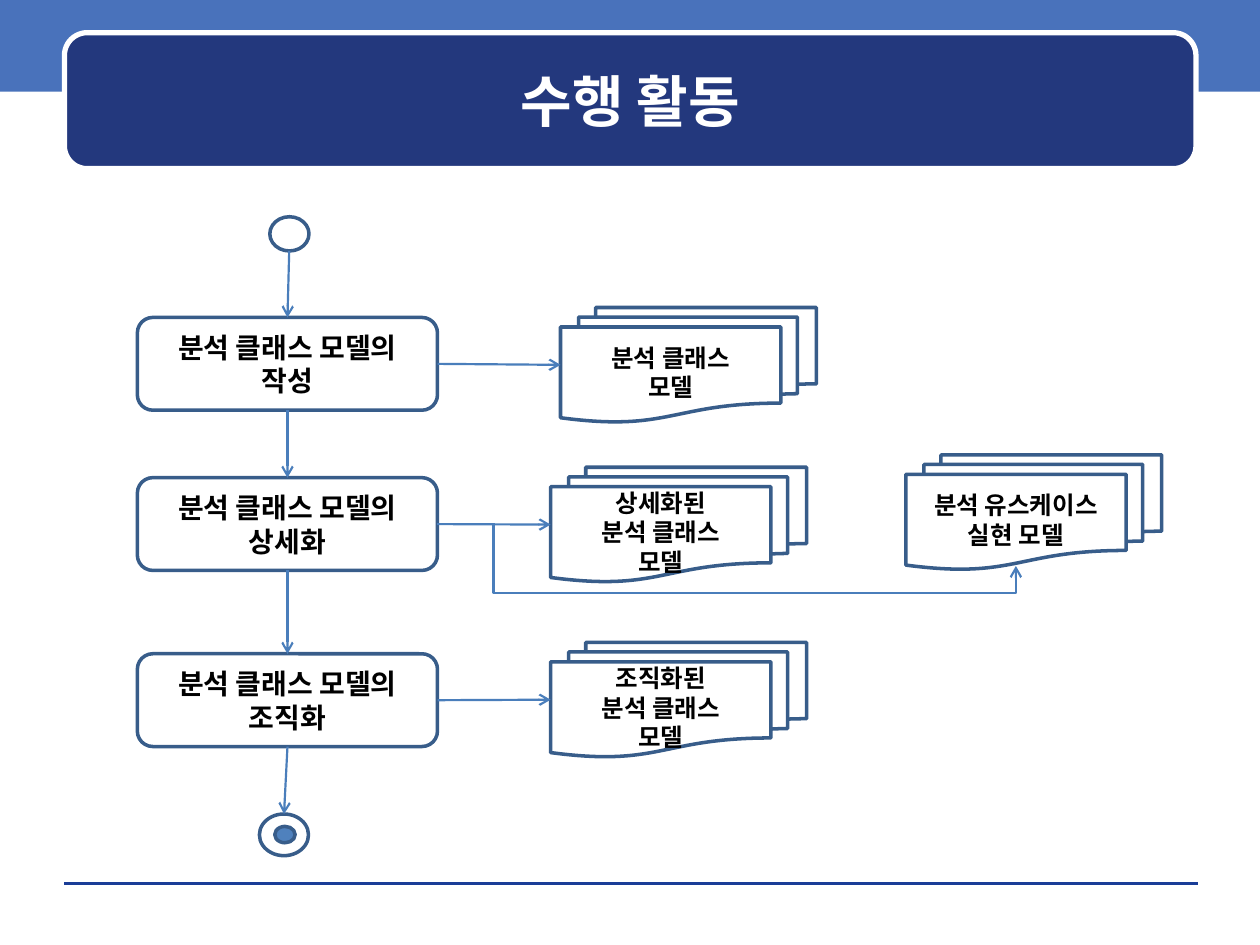
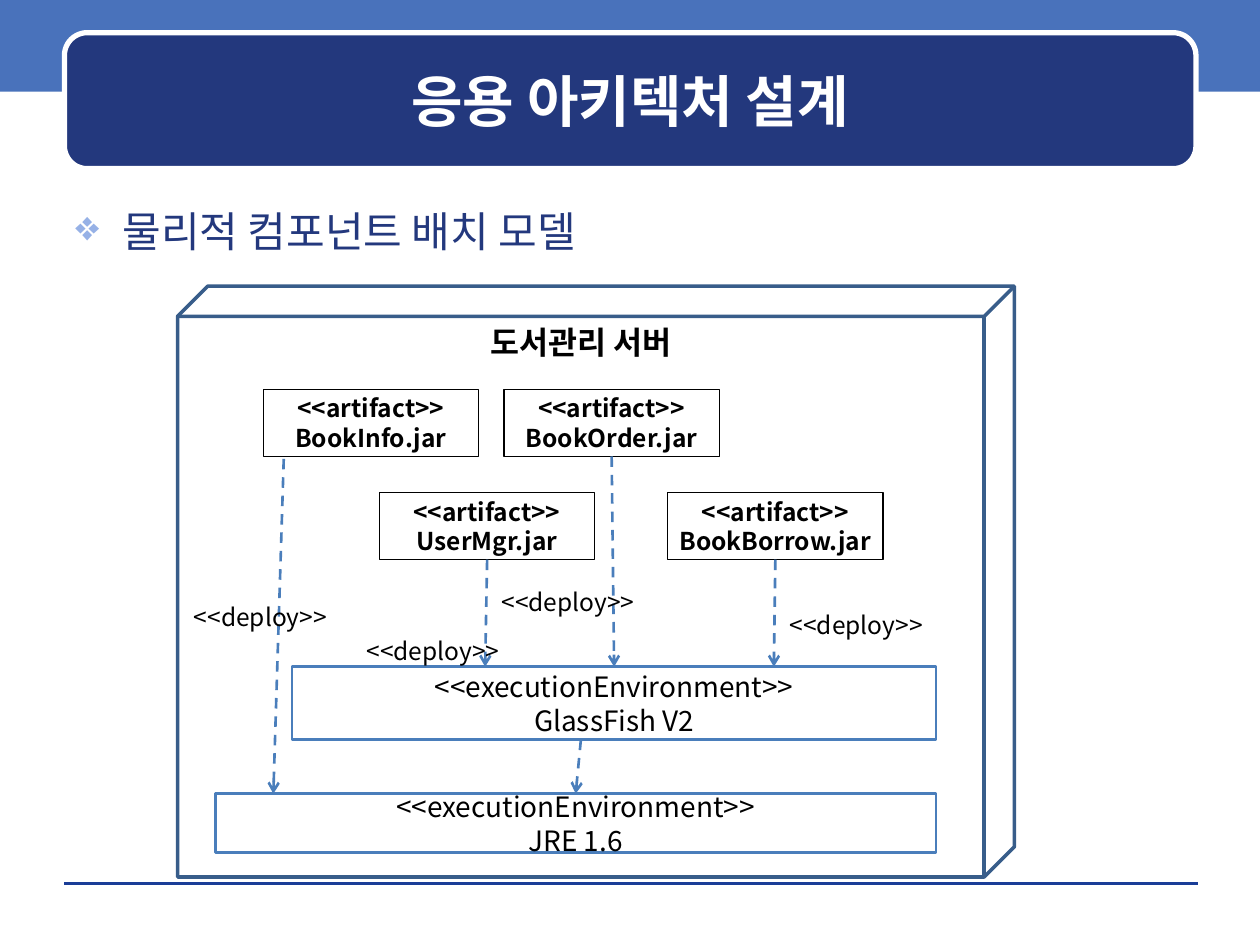
from dataclasses import dataclass
from typing import NamedTuple, Union

from lxml.etree import SubElement
from pptx import Presentation
from pptx.dml.color import RGBColor
from pptx.enum.dml import MSO_LINE_DASH_STYLE as DASH
from pptx.enum.shapes import MSO_CONNECTOR_TYPE as LINK, MSO_SHAPE as SHAPE
from pptx.enum.text import MSO_ANCHOR as ANCHOR, PP_ALIGN as ALIGN
from pptx.oxml.ns import qn
from pptx.util import Cm, Pt

FONT = "Noto Sans CJK KR"
COLORS = {
    "band": "4972BB", "navy": "23387D", "rule": "1A3D97", "white": "FFFFFF",
    "black": "000000", "outline": "385D8A", "link": "4A7EBB",
    "dot": "4F81BD", "bullet": "96B1E6",
}
TOP, LEFT, BOTTOM, RIGHT = range(4)


class Box(NamedTuple):
    x: float
    y: float
    w: float
    h: float


class Point(NamedTuple):
    x: float
    y: float


class Joint(NamedTuple):
    shape: object
    side: int


End = Union[Point, Joint]


@dataclass
class TextStyle:
    size: float
    bold: bool = False
    color: str = "black"
    align: object = ALIGN.CENTER
    anchor: object = ANCHOR.MIDDLE
    side_inset: float = 0.25
    wrap: bool = True


@dataclass
class ShapeStyle:
    kind: object
    line: str = ""
    width: float = 0
    fill: str = ""
    adjust: float = 0
    text: TextStyle = None


TITLE = TextStyle(32, True, "white")
BULLET = TextStyle(24, color="navy", align=ALIGN.LEFT, anchor=ANCHOR.TOP)
LABEL = TextStyle(14, align=ALIGN.LEFT, anchor=ANCHOR.TOP, wrap=False)

BAND = ShapeStyle(SHAPE.RECTANGLE, fill="band")
PANEL = ShapeStyle(SHAPE.ROUNDED_RECTANGLE, "white", 3, "navy", 0.167)
ACTIVITY = ShapeStyle(SHAPE.FLOWCHART_ALTERNATE_PROCESS, "outline", 2,
                      text=TextStyle(16, True, side_inset=0))
DOCUMENTS = ShapeStyle(SHAPE.FLOWCHART_MULTIDOCUMENT, "outline", 2,
                       text=TextStyle(14, True, side_inset=0))
RING = ShapeStyle(SHAPE.FLOWCHART_CONNECTOR, "outline", 2)
DOT = ShapeStyle(SHAPE.FLOWCHART_CONNECTOR, "outline", 2, "dot")
ARTIFACT = ShapeStyle(SHAPE.RECTANGLE, "black", 0.75,
                      text=TextStyle(14, True, side_inset=0))
ENVIRONMENT = ShapeStyle(SHAPE.RECTANGLE, "link", 1.5, text=TextStyle(16))
SERVER = ShapeStyle(SHAPE.CUBE, "outline", 2, adjust=0.051,
                    text=TextStyle(18, True, anchor=ANCHOR.TOP))


def rgb(name: str) -> RGBColor:
    return RGBColor.from_string(COLORS[name])


def cm(values) -> list:
    return [Cm(v) for v in values]


def write(sp, lines: list, style: TextStyle) -> None:
    tf = sp.text_frame
    frame_format = {
        "word_wrap": style.wrap, "vertical_anchor": style.anchor,
        "margin_left": Cm(style.side_inset), "margin_right": Cm(style.side_inset),
        "margin_top": Cm(0.13), "margin_bottom": Cm(0.13),
    }
    for name, value in frame_format.items():
        setattr(tf, name, value)
    for i, line in enumerate(lines):
        p = tf.add_paragraph() if i else tf.paragraphs[0]
        p.alignment = style.align
        r = p.add_run()
        r.text = line
        font_format = {"size": Pt(style.size), "bold": style.bold, "name": FONT}
        for name, value in font_format.items():
            setattr(r.font, name, value)
        r.font.color.rgb = rgb(style.color)
        SubElement(r.font._element, qn("a:ea"), typeface=FONT)


def add_text(slide, box: Box, line: str, style: TextStyle):
    sp = slide.shapes.add_textbox(*cm(box))
    write(sp, [line], style)
    return sp


def add_box(slide, style: ShapeStyle, box: Box, *lines: str):
    sp = slide.shapes.add_shape(style.kind, *cm(box))
    sp.shadow.inherit = False
    if style.adjust:
        sp.adjustments[0] = style.adjust
    if style.fill:
        sp.fill.solid()
        sp.fill.fore_color.rgb = rgb(style.fill)
    else:
        sp.fill.background()
    if style.line:
        sp.line.color.rgb = rgb(style.line)
        sp.line.width = Pt(style.width)
    else:
        sp.line.fill.background()
    if lines:
        write(sp, lines, style.text)
    return sp


def add_line(slide, begin: End, end: End, color: str = "link", width: float = 1.25,
             arrow: bool = True, dashed: bool = False, kind=LINK.STRAIGHT):
    """Draw a connector; an end given as a Joint is attached to its shape."""
    points = [e if isinstance(e, Point) else Point(0, 0) for e in (begin, end)]
    c = slide.shapes.add_connector(kind, *cm(points[0] + points[1]))
    for e, connect in ((begin, c.begin_connect), (end, c.end_connect)):
        if isinstance(e, Joint):
            connect(e.shape, e.side)
    c.line.color.rgb = rgb(color)
    c.line.width = Pt(width)
    if dashed:
        c.line.dash_style = DASH.DASH
    sp_pr = c._element.spPr
    if arrow:
        SubElement(sp_pr.find(qn("a:ln")), qn("a:tailEnd"), type="arrow")
    SubElement(sp_pr, qn("a:effectLst"))
    return c


def bend_around(c, *adjustments: int) -> None:
    """Turn an elbow connector into one with three bends."""
    geom = c._element.spPr.find(qn("a:prstGeom"))
    geom.set("prst", "bentConnector4")
    guides = geom.find(qn("a:avLst"))
    if guides is None:
        guides = SubElement(geom, qn("a:avLst"))
    for i, value in enumerate(adjustments, 1):
        SubElement(guides, qn("a:gd"), name=f"adj{i}", fmla=f"val {value}")


def add_bullet(slide, box: Box, line: str) -> None:
    p = add_text(slide, box, line, BULLET).text_frame.paragraphs[0]
    p_pr = p._p.get_or_add_pPr()
    p_pr.set("marL", str(Cm(0.95)))
    p_pr.set("indent", str(-Cm(0.95)))
    SubElement(SubElement(p_pr, qn("a:buClr")), qn("a:srgbClr"), val=COLORS["bullet"])
    SubElement(p_pr, qn("a:buChar"), char="❖")


def new_slide(prs, title: str):
    slide = prs.slides.add_slide(prs.slide_layouts[6])
    add_box(slide, BAND, Box(0, 0, 25.4, 1.85))
    add_line(slide, Point(1.3, 17.81), Point(24.16, 17.81), "rule", 0, arrow=False)
    add_box(slide, PANEL, Box(1.3, 0.66, 22.81, 2.74))
    add_text(slide, Box(1.52, 0.89, 22.38, 2.24), title, TITLE)
    return slide


def build_activities(prs) -> None:
    slide = new_slide(prs, "수행 활동")
    add_box(slide, RING, Box(5.44, 4.37, 0.79, 0.69))
    steps = [add_box(slide, ACTIVITY, Box(2.77, y, 6.05, 1.87), "분석 클래스 모델의", verb)
             for y, verb in ((6.4, "작성"), (9.63, "상세화"), (13.18, "조직화"))]
    add_box(slide, DOT, Box(5.54, 16.66, 0.41, 0.33))
    finish = add_box(slide, RING, Box(5.23, 16.41, 0.99, 0.84))

    outputs = [add_box(slide, DOCUMENTS, Box(x, y, 5.16, 2.31), *lines) for x, y, lines in (
        (11.3, 6.2, ("분석 클래스", "모델")),
        (11.1, 9.42, ("상세화된", "분석 클래스", "모델")),
        (11.1, 12.95, ("조직화된", "분석 클래스", "모델")),
        (18.26, 9.17, ("분석 유스케이스", "실현 모델")),
    )]

    add_line(slide, Point(5.83, 5.06), Joint(steps[0], TOP))
    for step, following in zip(steps, steps[1:] + [finish]):
        add_line(slide, Joint(step, BOTTOM), Joint(following, TOP))
    for step, output in zip(steps, outputs):
        add_line(slide, Joint(step, RIGHT), Joint(output, LEFT))
    branch = add_line(slide, Point(8.82, 10.57), Point(20.48, 11.41), kind=LINK.ELBOW)
    bend_around(branch, 9700, 164200)


def build_deployment(prs) -> None:
    slide = new_slide(prs, "응용 아키텍처 설계")
    add_bullet(slide, Box(1.27, 4.01, 22.86, 13.54), "물리적 컴포넌트 배치 모델")

    info, order, user, borrow = [
        add_box(slide, ARTIFACT, Box(x, y, 4.34, 1.35), "<<artifact>>", f"{name}.jar")
        for x, y, name in ((5.31, 7.85, "BookInfo"), (10.16, 7.85, "BookOrder"),
                           (7.65, 9.93, "UserMgr"), (13.46, 9.93, "BookBorrow"))]
    glassfish, jre = [
        add_box(slide, ENVIRONMENT, box, "<<executionEnvironment>>", name)
        for box, name in ((Box(5.89, 13.44, 12.98, 1.47), "GlassFish V2"),
                          (Box(4.34, 16, 14.53, 1.19), "JRE 1.6"))]

    for begin, end in (
        (Point(11.71, 14.91), Joint(jre, TOP)),
        (Point(5.72, 9.25), Point(5.51, 16)),
        (Joint(user, BOTTOM), Point(9.78, 13.44)),
        (Joint(order, BOTTOM), Joint(glassfish, TOP)),
        (Joint(borrow, BOTTOM), Point(15.6, 13.44)),
    ):
        add_line(slide, begin, end, width=1.5, dashed=True)
    for x, y in ((3.66, 12.01), (7.14, 12.7), (9.86, 11.71), (15.67, 12.17)):
        add_text(slide, Box(x, y, 3.2, 0.86), "<<deploy>>", LABEL)
    add_box(slide, SERVER, Box(3.58, 5.77, 16.87, 11.91), "도서관리 서버")


def main() -> None:
    prs = Presentation()
    prs.slide_width, prs.slide_height = cm((25.4, 19.05))
    build_activities(prs)
    build_deployment(prs)
    prs.save("out.pptx")


if __name__ == "__main__":
    main()
